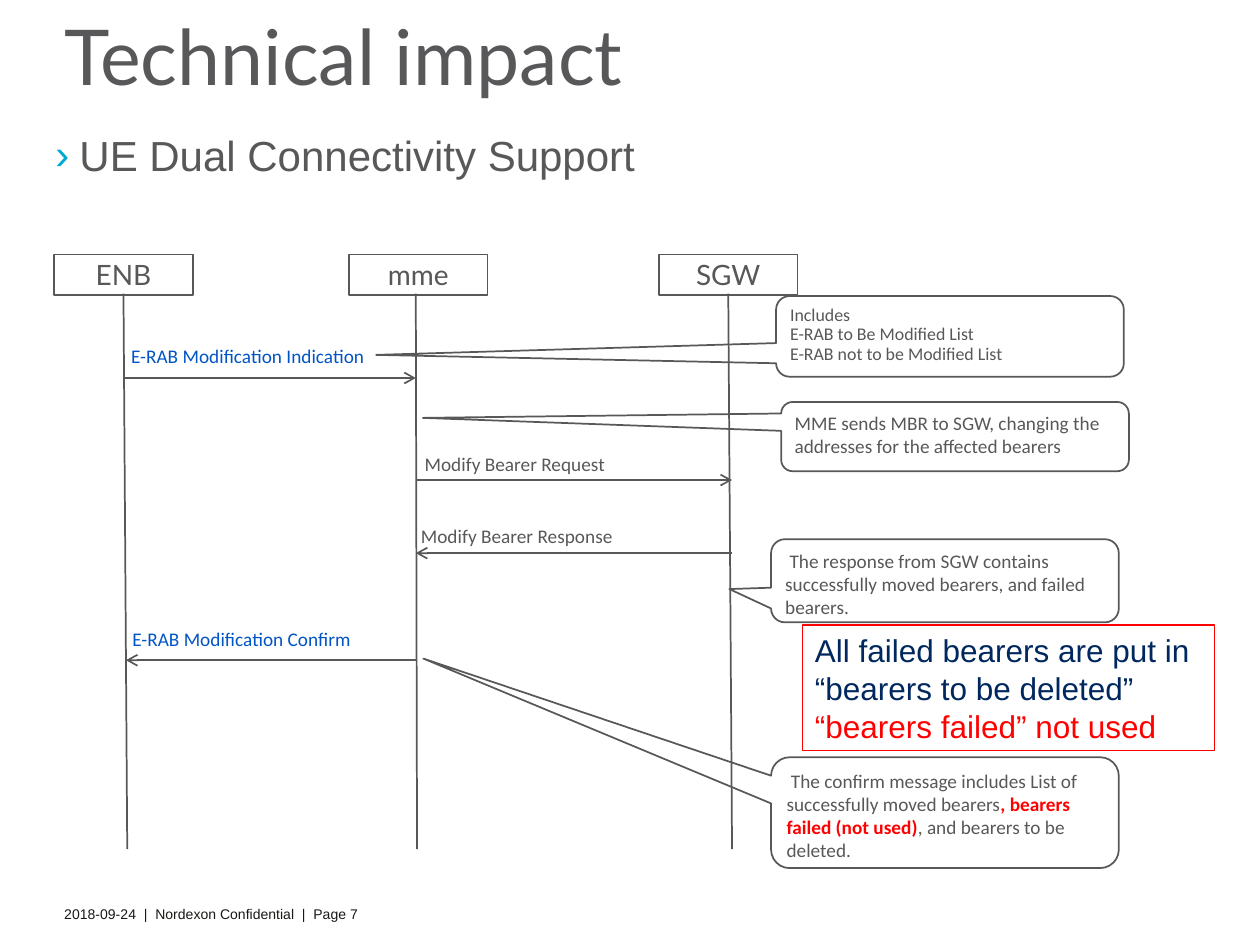
from copy import deepcopy
from dataclasses import dataclass

from lxml.etree import SubElement
from pptx import Presentation
from pptx.dml.color import RGBColor
from pptx.enum.shapes import MSO_CONNECTOR, MSO_SHAPE
from pptx.enum.text import MSO_ANCHOR, MSO_AUTO_SIZE, PP_ALIGN
from pptx.oxml.ns import qn
from pptx.util import Inches, Pt


@dataclass(frozen=True)
class Theme:
    grey: str = "58585A"
    blue: str = "0054C6"
    navy: str = "00285E"
    red: str = "FF0000"
    cyan: str = "00A9D4"
    black: str = "1A1816"
    heading: str = "Lato"
    label: str = "Calibri"
    body: str = "Arial"
    title_size: float = 44
    bullet_size: float = 24
    remark_size: float = 18
    node_size: float = 16
    label_size: float = 11
    list_size: float = 10.2
    footer_size: float = 8


T = Theme()


@dataclass(frozen=True)
class Span:
    text: str
    color: str = T.grey
    bold: bool = False


@dataclass(frozen=True)
class Node:
    name: str
    left: float
    line_top: float
    line_bottom: float


@dataclass(frozen=True)
class Message:
    text: str
    start: float
    end: float
    y: float
    label: tuple[float, float, float]
    color: str = T.grey


@dataclass(frozen=True)
class Callout:
    box: tuple[float, float, float, float]
    tip: tuple[float, float]
    spans: tuple[Span, ...]
    size: float = T.label_size
    spacing: float = 1.0


NODES = [
    Node("ENB", 0.43, 0.98, 1.01),
    Node("mme", 2.77, 3.3, 3.31),
    Node("SGW", 5.23, 5.78, 5.81),
]

MESSAGES = [
    Message("E-RAB Modification Indication", 0.98, 3.3, 3, (1, 2.69, 2.17), T.blue),
    Message("Modify Bearer Request", 3.3, 5.81, 3.81, (3.33, 3.55, 1.77)),
    Message("Modify Bearer Response", 5.81, 3.3, 4.39, (3.3, 4.12, 1.77)),
    Message("E-RAB Modification Confirm", 3.31, 1, 5.24, (1.01, 4.94, 2.17), T.blue),
]

CALLOUTS = [
    Callout((6.16, 2.35, 2.76, 0.64), (-1.65, 0.23),
            (Span("Includes\nE-RAB to Be Modified List\nE-RAB not to be Modified List"),),
            T.list_size, 0.9),
    Callout((6.2, 3.19, 2.76, 0.55), (-1.53, -0.27),
            (Span("MME sends MBR to SGW, changing the addresses for the affected bearers"),)),
    Callout((6.12, 4.28, 2.76, 0.66), (-0.62, 0.1),
            (Span(" The response from SGW contains successfully moved bearers, "
                  "and failed bearers."),)),
    Callout((6.12, 6.01, 2.76, 0.88), (-1.5, -1.39),
            (Span(" The confirm message includes List of successfully moved bearers"),
             Span(", bearers failed (not used)", T.red, True),
             Span(", and bearers to be deleted."))),
]


def apply(target, **values) -> None:
    for name, value in values.items():
        setattr(target, name, value)


def set_frame(tf, x: float, y: float, **values) -> None:
    """Set the side and top/bottom insets, then any other frame values."""
    apply(tf, margin_left=Inches(x), margin_right=Inches(x),
          margin_top=Inches(y), margin_bottom=Inches(y),
          **{"word_wrap": True, "auto_size": MSO_AUTO_SIZE.NONE,
             "vertical_anchor": MSO_ANCHOR.TOP, **values})


def write(p, spans: tuple[Span, ...], face: str, size: float, **values) -> None:
    """Fill a paragraph with spans; a newline becomes a line break of the same size."""
    apply(p, **{"alignment": PP_ALIGN.LEFT, **values})
    for span in spans:
        for i, text in enumerate(span.text.split("\n")):
            if i:
                p.add_line_break()
                p._p[-1].append(deepcopy(r._r.rPr))
            r = p.add_run()
            r.text = text
            apply(r.font, name=face, size=Pt(size), bold=span.bold)
            r.font.color.rgb = RGBColor.from_string(span.color)


def place(sp, left: float, top: float, width: float, height: float) -> None:
    apply(sp, left=Inches(left), top=Inches(top),
          width=Inches(width), height=Inches(height))


def add_outline(s, kind, box, color: str = T.grey, weight: float = 1):
    sp = s.shapes.add_shape(kind, *map(Inches, box))
    sp.shadow.inherit = False
    sp.fill.background()
    sp.line.color.rgb = RGBColor.from_string(color)
    sp.line.width = Pt(weight)
    return sp


def add_line(s, x1: float, y1: float, x2: float, y2: float, arrow: bool = False) -> None:
    line = s.shapes.add_connector(MSO_CONNECTOR.STRAIGHT, *map(Inches, (x1, y1, x2, y2)))
    line.line.color.rgb = RGBColor.from_string(T.grey)
    line.line.width = Pt(1)
    if arrow:
        SubElement(line.line._get_or_add_ln(), qn("a:tailEnd"), type="arrow")
    SubElement(line._element.spPr, qn("a:effectLst"))


def add_label(s, box, text: str, face: str, size: float, color: str,
              insets: tuple[float, float]) -> None:
    tf = s.shapes.add_textbox(*map(Inches, box)).text_frame
    set_frame(tf, *insets)
    write(tf.paragraphs[0], (Span(text, color),), face, size)


def add_node(s, node: Node) -> None:
    sp = add_outline(s, MSO_SHAPE.RECTANGLE, (node.left, 2.02, 1.1, 0.32))
    set_frame(sp.text_frame, 0.08, 0.05, word_wrap=False,
              vertical_anchor=MSO_ANCHOR.MIDDLE)
    write(sp.text_frame.paragraphs[0], (Span(node.name),), T.heading, T.node_size,
          alignment=PP_ALIGN.CENTER, space_before=Pt(10))
    add_line(s, node.line_top, 2.33, node.line_bottom, 6.74)


def add_message(s, m: Message) -> None:
    add_line(s, m.start, m.y, m.end, m.y, arrow=True)
    add_label(s, (*m.label, 0.26), m.text, T.label, T.label_size, m.color, (0.04, 0.04))


def add_callout(s, c: Callout) -> None:
    sp = add_outline(s, MSO_SHAPE.ROUNDED_RECTANGULAR_CALLOUT, c.box)
    for i, value in enumerate((*c.tip, 0.167)):
        sp.adjustments[i] = value
    set_frame(sp.text_frame, 0.08, 0.05)
    write(sp.text_frame.paragraphs[0], c.spans, T.label, c.size,
          space_before=Pt(6.9), line_spacing=c.spacing)


def add_remark(s) -> None:
    sp = add_outline(s, MSO_SHAPE.RECTANGLE, (6.37, 4.96, 3.27, 1), T.red, 0.75)
    tf = sp.text_frame
    set_frame(tf, 0.1, 0.05)
    write(tf.paragraphs[0],
          (Span("All failed bearers are put in “bearers to be deleted”", T.navy),),
          T.body, T.remark_size)
    write(tf.add_paragraph(), (Span("“bearers failed” not used", T.red),),
          T.body, T.remark_size)


def fill_placeholders(s) -> None:
    title, body = s.shapes.title, s.placeholders[1]
    place(title, 0.43, 0.1, 8.2, 0.83)
    set_frame(title.text_frame, 0.08, 0, vertical_anchor=MSO_ANCHOR.MIDDLE)
    write(title.text_frame.paragraphs[0], (Span("Technical impact"),),
          T.heading, T.title_size, line_spacing=0.75)

    place(body, 0.34, 0.98, 4.8, 0.5)
    set_frame(body.text_frame, 0.1, 0.05, word_wrap=False)
    p = body.text_frame.paragraphs[0]
    write(p, (Span("UE Dual Connectivity Support"),), T.body, T.bullet_size,
          space_before=Pt(6))
    pPr = p._p.get_or_add_pPr()
    pPr.set("marL", str(Inches(0.19)))
    pPr.set("indent", str(-Inches(0.19)))
    SubElement(SubElement(pPr, qn("a:buClr")), qn("a:srgbClr"), val=T.cyan)
    SubElement(pPr, qn("a:buFont"), typeface=T.body)
    SubElement(pPr, qn("a:buChar"), char="›")


def main() -> None:
    prs = Presentation()
    prs.slide_width, prs.slide_height = Inches(10), Inches(7.5)
    s = prs.slides.add_slide(prs.slide_layouts[1])
    fill_placeholders(s)
    for add, items in ((add_node, NODES), (add_message, MESSAGES), (add_callout, CALLOUTS)):
        for item in items:
            add(s, item)
    add_remark(s)
    add_label(s, (0.43, 7.14, 8.09, 0.24), "2018-09-24  |  Nordexon Confidential  |  Page 7",
              T.body, T.footer_size, T.black, (0.08, 0.05))
    prs.save("out.pptx")


if __name__ == "__main__":
    main()
